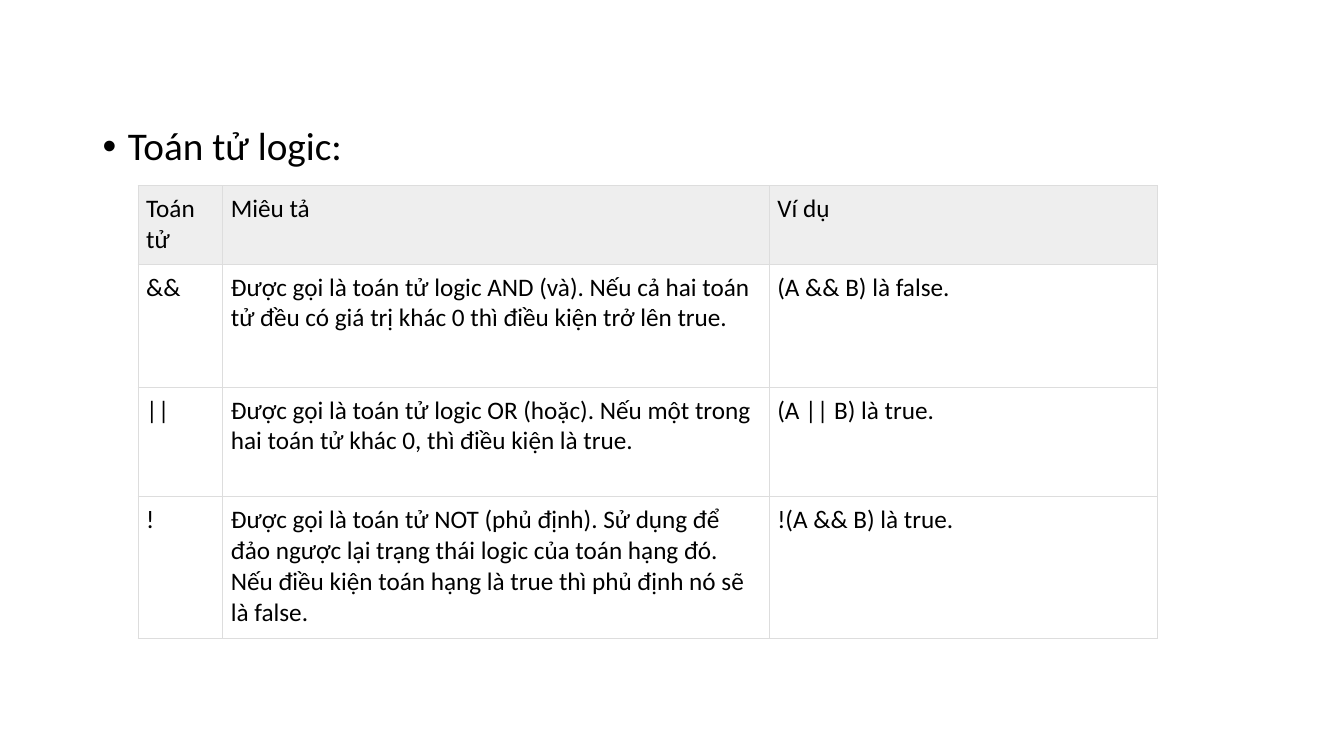
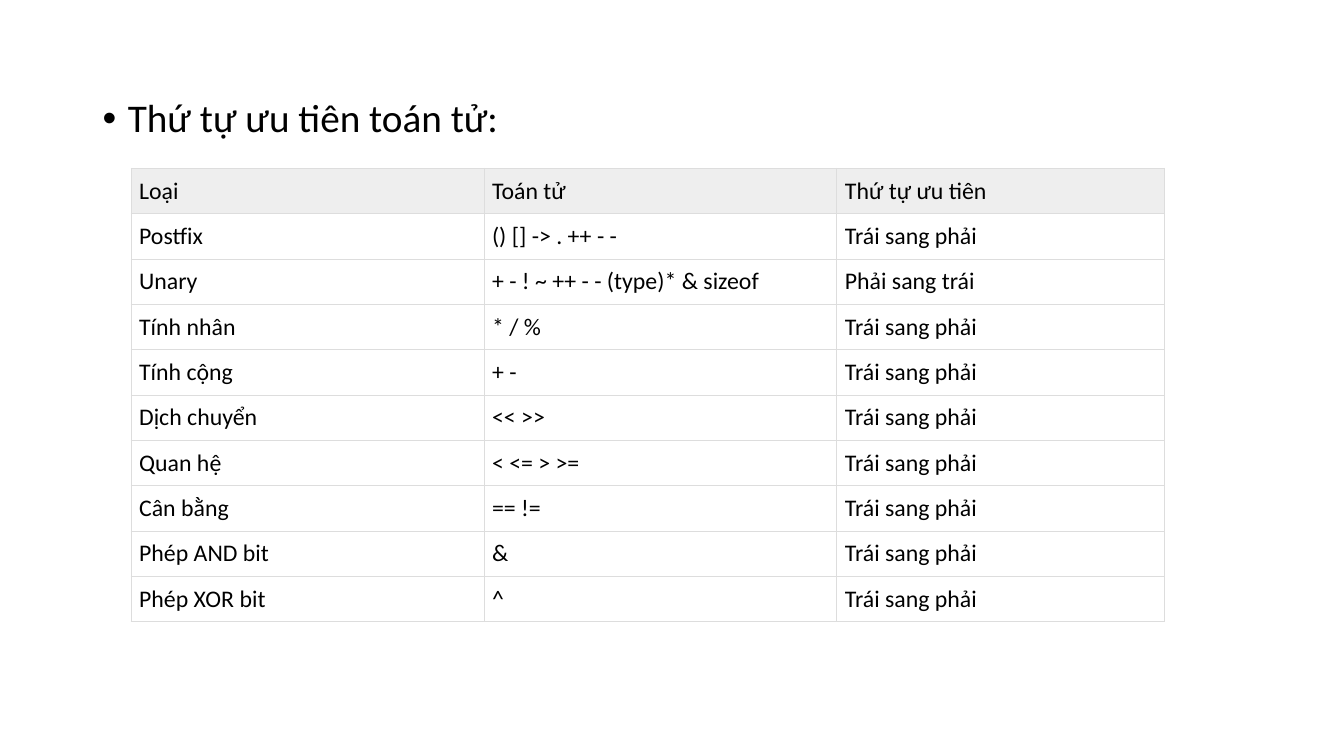
from lxml.etree import SubElement
from pptx import Presentation
from pptx.dml.color import RGBColor
from pptx.oxml.ns import qn
from pptx.util import Inches, Pt

BLACK = RGBColor(0x00, 0x00, 0x00)
HEADER_GRAY = RGBColor(0xEE, 0xEE, 0xEE)
BORDER_GRAY = RGBColor(0xDD, 0xDD, 0xDD)

FONT_NAME = "Calibri"
HEADING_SIZE = 28
BLANK_LAYOUT = 6
CELL_MARGIN = 0.08
BULLET_INDENT = 0.25
BORDER_WIDTH = 0.75

LEFT_TO_RIGHT = "Trái sang phải"
RIGHT_TO_LEFT = "Phải sang trái"

LOGIC_ROWS = [
    ("Toán tử", "Miêu tả", "Ví dụ"),
    ("&&",
     "Được gọi là toán tử logic AND (và). Nếu cả hai toán tử đều có giá trị "
     "khác 0 thì điều kiện trở lên true.",
     "(A && B) là false."),
    ("||",
     "Được gọi là toán tử logic OR (hoặc). Nếu một trong hai toán tử khác 0, "
     "thì điều kiện là true.",
     "(A || B) là true."),
    ("!",
     "Được gọi là toán tử NOT (phủ định). Sử dụng để đảo ngược lại trạng thái "
     "logic của toán hạng đó. Nếu điều kiện toán hạng là true thì phủ định nó "
     "sẽ là false.",
     "!(A && B) là true."),
]

PRECEDENCE_ROWS = [
    ("Loại", "Toán tử", "Thứ tự ưu tiên"),
    ("Postfix", "() [] -> . ++ - -", LEFT_TO_RIGHT),
    ("Unary", "+ - ! ~ ++ - - (type)* & sizeof", RIGHT_TO_LEFT),
    ("Tính nhân", "* / %", LEFT_TO_RIGHT),
    ("Tính cộng", "+ -", LEFT_TO_RIGHT),
    ("Dịch chuyển", "<< >>", LEFT_TO_RIGHT),
    ("Quan hệ", "< <= > >=", LEFT_TO_RIGHT),
    ("Cân bằng", "== !=", LEFT_TO_RIGHT),
    ("Phép AND bit", "&", LEFT_TO_RIGHT),
    ("Phép XOR bit", "^", LEFT_TO_RIGHT),
]


def set_attributes(target, values):
    for name, value in values.items():
        setattr(target, name, value)


def add_run(paragraph, text, size):
    run = paragraph.add_run()
    run.text = text
    set_attributes(run.font, {"name": FONT_NAME, "size": Pt(size), "bold": False})
    run.font.color.rgb = BLACK


def add_bullet(paragraph):
    properties = paragraph._p.get_or_add_pPr()
    properties.set("marL", str(Inches(BULLET_INDENT)))
    properties.set("indent", str(-Inches(BULLET_INDENT)))
    SubElement(properties, qn("a:buFont"), typeface="Arial")
    SubElement(properties, qn("a:buChar"), char="•")


def add_heading(slide, text, top):
    box = slide.shapes.add_textbox(Inches(0.92), Inches(top), Inches(11.5), Inches(0.6))
    box.text_frame.word_wrap = True
    paragraph = box.text_frame.paragraphs[0]
    add_bullet(paragraph)
    paragraph.line_spacing = 0.9
    add_run(paragraph, text, HEADING_SIZE)


def add_cell_borders(cell):
    """Draw all four sides; call before the cell gets its fill."""
    properties = cell._tc.get_or_add_tcPr()
    for side in ("a:lnL", "a:lnR", "a:lnT", "a:lnB"):
        line = SubElement(properties, qn(side), w=str(Pt(BORDER_WIDTH)))
        fill = SubElement(line, qn("a:solidFill"))
        SubElement(fill, qn("a:srgbClr"), val=str(BORDER_GRAY))


def format_cell(cell, text, size, is_header):
    margins = ("margin_left", "margin_right", "margin_top", "margin_bottom")
    set_attributes(cell, dict.fromkeys(margins, Inches(CELL_MARGIN)))
    add_cell_borders(cell)
    if is_header:
        cell.fill.solid()
        cell.fill.fore_color.rgb = HEADER_GRAY
    else:
        cell.fill.background()
    add_run(cell.text_frame.paragraphs[0], text, size)


def add_grid(slide, rows, left, top, column_widths, row_heights, size):
    table = slide.shapes.add_table(
        len(rows), len(column_widths), Inches(left), Inches(top),
        Inches(sum(column_widths)), Inches(sum(row_heights))).table
    table.horz_banding = False
    for column, width in zip(table.columns, column_widths):
        column.width = Inches(width)
    for row, height in zip(table.rows, row_heights):
        row.height = Inches(height)
    for row_index, texts in enumerate(rows):
        for column_index, text in enumerate(texts):
            format_cell(table.cell(row_index, column_index), text, size,
                        is_header=row_index == 0)


def add_slide(presentation):
    return presentation.slides.add_slide(presentation.slide_layouts[BLANK_LAYOUT])


def add_logic_slide(presentation):
    slide = add_slide(presentation)
    add_heading(slide, "Toán tử logic:", top=1.21)
    add_grid(slide, LOGIC_ROWS, left=1.37, top=1.84,
             column_widths=[0.84, 5.42, 3.85],
             row_heights=[0.78, 1.22, 1.09, 1.4], size=18)


def add_precedence_slide(presentation):
    slide = add_slide(presentation)
    add_heading(slide, "Thứ tự ưu tiên toán tử:", top=0.93)
    add_grid(slide, PRECEDENCE_ROWS, left=1.3, top=1.67,
             column_widths=[3.5, 3.5, 3.25],
             row_heights=[0.45] * len(PRECEDENCE_ROWS), size=17)


def main():
    presentation = Presentation()
    set_attributes(presentation, {"slide_width": Inches(13.33),
                                  "slide_height": Inches(7.5)})
    add_logic_slide(presentation)
    add_precedence_slide(presentation)
    presentation.save("out.pptx")


if __name__ == "__main__":
    main()
